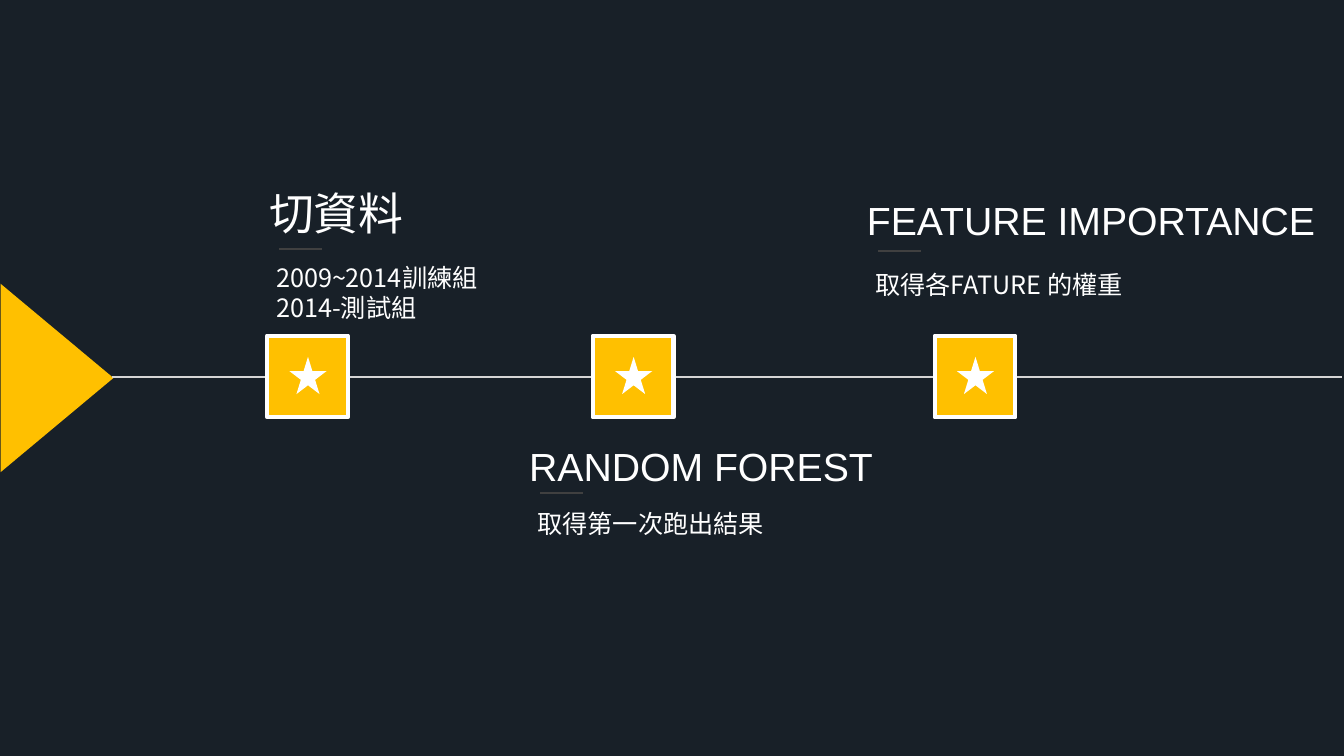
"""Builds a dark timeline slide with three starred steps."""
from lxml import etree
from pptx import Presentation, util as u
from pptx.dml.color import RGBColor
from pptx.enum import shapes, text
from pptx.oxml.ns import qn

NOTO = "Noto Sans CJK SC"
WHITE, GOLD, DARK = "FFFFFF", "FFC000", "182028"
KIND = shapes.MSO_SHAPE


def color(hue):
    """Turn a hex string into a colour."""
    return RGBColor.from_string(hue)


def box(*spot):
    """Turn numbers into inches."""
    return [u.Inches(n) for n in spot]


def shape(slide, kind, spot, fill, edge=None, turn=0):
    """Add a filled preset shape with an optional edge."""
    form = slide.shapes.add_shape(kind, *box(*spot))
    form.shadow.inherit = False
    form.rotation = turn
    form.fill.solid()
    form.fill.fore_color.rgb = color(fill)
    if edge:
        form.line.color.rgb = color(edge)
        form.line.width = u.Pt(3)
    else:
        form.line.fill.background()


def rule(slide, left, top, width, hue):
    """Add a thin level line."""
    ends = box(left, top, left + width, top)
    line = slide.shapes.add_connector(shapes.MSO_CONNECTOR.STRAIGHT, *ends)
    line.line.color.rgb = color(hue)
    line.line.width = u.Pt(1)
    props = line._element.find(qn("p:spPr"))
    etree.SubElement(props, qn("a:effectLst"))


def label(slide, spot, lines, size, face, wrap):
    """Add white text, one paragraph a line."""
    frame = slide.shapes.add_textbox(*box(*spot)).text_frame
    frame.word_wrap = wrap
    frame.auto_size = text.MSO_AUTO_SIZE.SHAPE_TO_FIT_TEXT
    look = {"name": face, "size": u.Pt(size)}
    for i, words in enumerate(lines):
        para = frame.paragraphs[0] if i == 0 else frame.add_paragraph()
        run = para.add_run()
        run.text = words
        for key, value in look.items():
            setattr(run.font, key, value)
        run.font.color.rgb = color(WHITE)
        east = etree.SubElement(run._r.get_or_add_rPr(), qn("a:ea"))
        east.set("typeface", NOTO)


def badge(slide, left):
    """Add a starred square on the timeline."""
    shape(slide, KIND.RECTANGLE, (left, 3.33, 0.8, 0.81), GOLD, WHITE)
    shape(slide, KIND.STAR_5_POINT, (left + 0.22, 3.54, 0.37, 0.37), WHITE)


def step(slide, title, spot, size, dash, body, place):
    """Add a title, its short rule and its details."""
    label(slide, place, body, 18, NOTO, True)
    label(slide, spot, [title], size, "Arial", False)
    rule(slide, *dash, 0.42, "404040")


def main():
    """Build and save the slide."""
    deck = Presentation()
    deck.slide_width, deck.slide_height = box(13.33, 7.5)
    slide = deck.slides.add_slide(deck.slide_layouts[6])
    slide.background.fill.solid()
    slide.background.fill.fore_color.rgb = color("FCFBF9")
    shape(slide, KIND.RECTANGLE, (0, 0, 13.33, 7.5), DARK)
    shape(slide, KIND.ISOSCELES_TRIANGLE, (-0.37, 3.19, 1.87, 1.12), GOLD,
          turn=90)
    rule(slide, 1.11, 3.74, 12.2, "D5D5D5")
    for left in (2.65, 5.88, 9.27):
        badge(slide, left)
    step(slide, "切資料", (2.57, 1.79, 1.55, 0.64), 32, (2.77, 2.47),
         ["2009~2014訓練組", "2014-測試組"], (2.64, 2.55, 4.11, 0.71))
    step(slide, "RANDOM FOREST", (5.15, 4.34, 3.65, 0.57), 28, (5.36, 4.89),
         ["取得第一次跑出結果"], (5.23, 4.99, 4.11, 0.4))
    step(slide, "FEATURE IMPORTANCE", (8.5, 1.9, 4.69, 0.57), 28, (8.71, 2.49),
         ["取得各FATURE 的權重"], (8.58, 2.62, 4.11, 0.4))
    deck.save("out.pptx")


if __name__ == "__main__":
    main()
